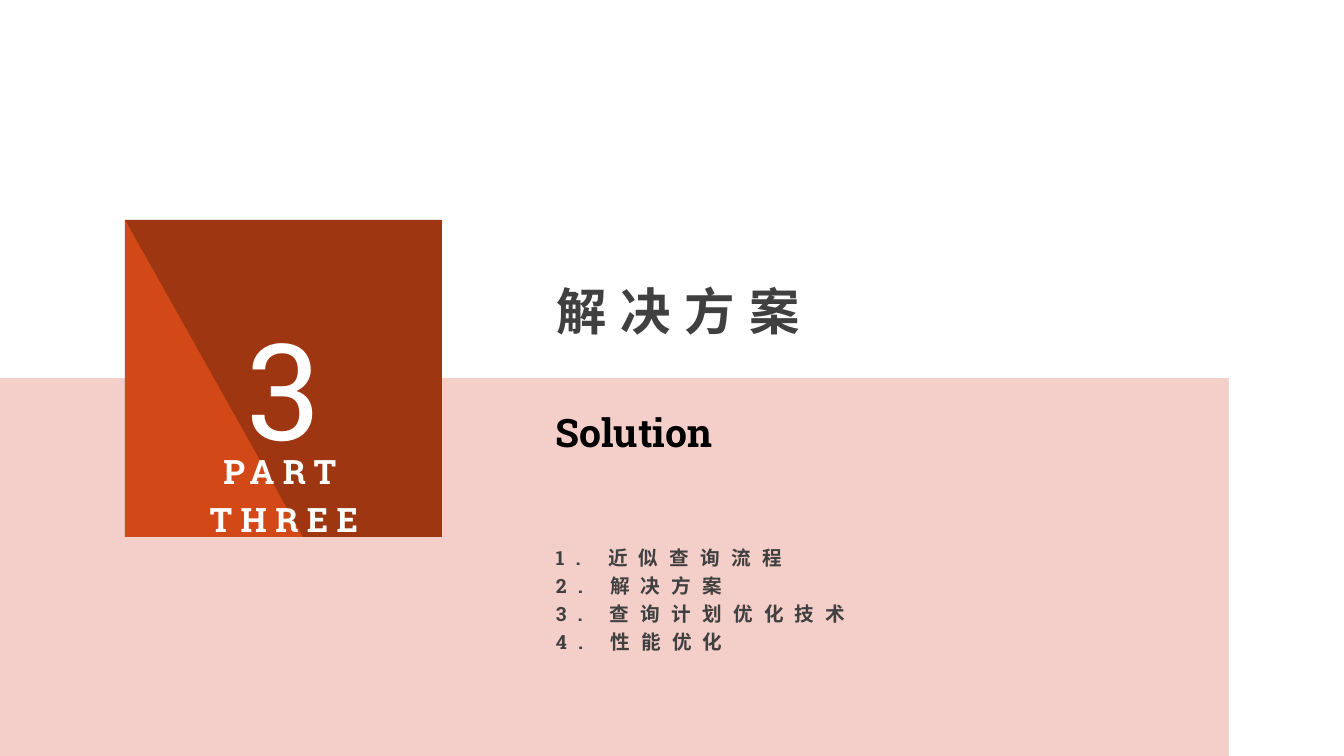
from pptx import Presentation
from pptx.dml.color import RGBColor
from pptx.enum.shapes import MSO_SHAPE as Kind
from pptx.enum.text import MSO_ANCHOR as Anchor, MSO_AUTO_SIZE as Fit, PP_ALIGN as Align
from pptx.util import Pt
from lxml.etree import SubElement
from pptx.oxml.ns import qn

PX = 914400 / 100.8
FONT = "Roboto Slab"
WHITE, GREY = "FFFFFF", "404040"

# kind, box in px, fill
SHAPES = [
    (Kind.RECTANGLE, (0, 378, 1344, 378), "F4CEC9"),
    (Kind.RECTANGLE, (1229, 378, 115, 378), WHITE),
    (Kind.RECTANGLE, (125, 220, 317, 317), "9E3611"),
    (Kind.RIGHT_TRIANGLE, (125, 220, 178, 317), "D34817"),
]
TITLE = ("解决方案", (546, 263, 557, 78), 36, GREY, True, 10, Align.LEFT)
# text, box in px, size, colour, bold, letter spacing, alignment
TEXTS = [
    ("3", (199, 269, 170, 192), 96, WHITE, False, 0, Align.CENTER),
    ("PART THREE", (139, 438, 290, 105), 24, WHITE, True, 6, Align.CENTER),
    ("Solution", (546, 394, 559, 64), 28, "000000", True, 0, Align.LEFT),
    ("1. 近似查询流程\n2. 解决方案\n3. 查询计划优化技术\n4. 性能优化",
     (546, 536, 620, 122), 14, GREY, True, 8, Align.LEFT),
]


def emu(box):
    return [round(n * PX) for n in box]


def rgb(code):
    return RGBColor.from_string(code)


def write(shape, item):
    text, box, size, color, bold, gap, align = item
    shape.left, shape.top, shape.width, shape.height = emu(box)
    frame = shape.text_frame
    frame.text = text
    frame.word_wrap = True
    frame.auto_size = Fit.NONE
    frame.vertical_anchor = Anchor.TOP
    for para in frame.paragraphs:
        para.alignment = align
        para.line_spacing = 1.2
        para.space_before = Pt(0)
        for run in para.runs:
            font = run.font
            font.name, font.size, font.bold = FONT, Pt(size), bold
            font.color.rgb = rgb(color)
            props = run._r.get_or_add_rPr()
            props.set("spc", str(gap * 100))
            SubElement(props, qn("a:ea")).set("typeface", FONT)


def main():
    deck = Presentation()
    deck.slide_width, deck.slide_height = emu((1344, 756))
    slide = deck.slides.add_slide(deck.slide_layouts[5])
    write(slide.shapes.title, TITLE)
    for kind, box, fill in SHAPES:
        shape = slide.shapes.add_shape(kind, *emu(box))
        shape.shadow.inherit = False
        shape.fill.solid()
        shape.fill.fore_color.rgb = rgb(fill)
        shape.line.fill.background()
    for item in TEXTS:
        write(slide.shapes.add_textbox(*emu(item[1])), item)
    deck.save("out.pptx")


if __name__ == "__main__":
    main()
